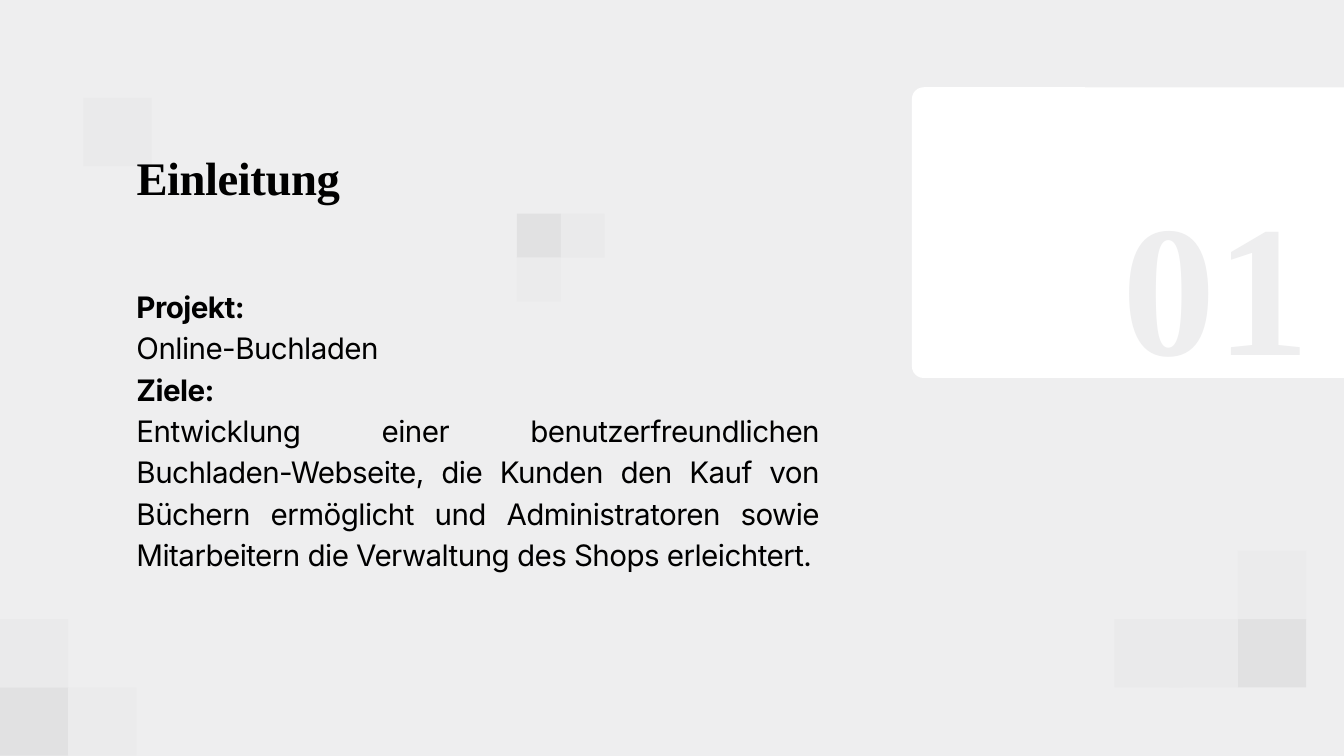
import pptx
import pptx.dml.color
import pptx.enum.shapes
import pptx.enum.text
import pptx.util

Cm = pptx.util.Cm
Pt = pptx.util.Pt
PP_ALIGN = pptx.enum.text.PP_ALIGN
MSO_SHAPE = pptx.enum.shapes.MSO_SHAPE

COLOURS = {
    "background": "EEEEEF",
    "card": "FFFFFF",
    "text": "000000",
    "dark": "E1E1E2",
    "pale": "EBEBEC",
    "medium": "EAEAEB",
}

TITLE = "Einleitung"
NUMBER = "01"
# (text, bold, alignment)
BODY = [
    ("Projekt:", True, PP_ALIGN.LEFT),
    ("Online-Buchladen", False, PP_ALIGN.LEFT),
    ("Ziele:", True, PP_ALIGN.LEFT),
    (
        "Entwicklung einer benutzerfreundlichen Buchladen-Webseite, die Kunden "
        "den Kauf von Büchern ermöglicht und Administratoren sowie Mitarbeitern "
        "die Verwaltung des Shops erleichtert.",
        False,
        PP_ALIGN.JUSTIFY,
    ),
]

LARGE, SMALL = 2.58, 1.66
# (left, top, tile size, [(column, row, colour)]), lengths in cm
TILE_CLUSTERS = [
    (46.79, 23.41, LARGE, [(0, 0, "dark"), (0, -1, "pale"), (-1, 0, "medium")]),
    (0, 25.99, LARGE, [(0, 0, "dark"), (1, 0, "pale"), (0, -1, "medium")]),
    (19.54, 8.08, SMALL, [(0, 0, "dark"), (0, 1, "pale"), (1, 0, "medium")]),
    (3.15, 3.7, LARGE, [(0, 0, "medium")]),
    (42.12, 23.41, LARGE, [(0, 0, "medium")]),
]


def colour(name):
    return pptx.dml.color.RGBColor.from_string(COLOURS[name])


def add_plain_shape(slide, kind, left, top, width, height, fill):
    shape = slide.shapes.add_shape(kind, Cm(left), Cm(top), Cm(width), Cm(height))
    shape.shadow.inherit = False
    shape.fill.solid()
    shape.fill.fore_color.rgb = colour(fill)
    shape.line.fill.background()
    return shape


def place_text(shape, left, top, width, height):
    """Position a text shape and remove its margins."""
    shape.left, shape.top = Cm(left), Cm(top)
    shape.width, shape.height = Cm(width), Cm(height)
    frame = shape.text_frame
    frame.margin_left = frame.margin_right = 0
    frame.margin_top = frame.margin_bottom = 0
    frame.word_wrap = True
    frame.auto_size = pptx.enum.text.MSO_AUTO_SIZE.NONE
    frame.vertical_anchor = pptx.enum.text.MSO_ANCHOR.TOP
    return frame


def write(paragraph, text, font, size, bold, fill="text", alignment=PP_ALIGN.LEFT,
          line_height=None, tracking=0):
    """Fill one paragraph; tracking is in hundredths of a point."""
    paragraph.text = text
    paragraph.alignment = alignment
    paragraph.space_before = Pt(0)
    if line_height:
        paragraph.line_spacing = Pt(line_height)
    for run in paragraph.runs:
        run.font.name = font
        run.font.size = Pt(size)
        run.font.bold = bold
        run.font.color.rgb = colour(fill)
        run.font._element.set("spc", str(tracking))


def main():
    presentation = pptx.Presentation()
    presentation.slide_width, presentation.slide_height = Cm(50.8), Cm(28.58)
    slide = presentation.slides.add_slide(presentation.slide_layouts[5])
    slide.background.fill.solid()
    slide.background.fill.fore_color.rgb = colour("background")

    card = add_plain_shape(
        slide, MSO_SHAPE.ROUNDED_RECTANGLE, 34.47, 3.3, 16.74, 10.99, "card")
    card.adjustments[0] = 0.04

    for left, top, size, tiles in TILE_CLUSTERS:
        for column, row, fill in tiles:
            add_plain_shape(slide, MSO_SHAPE.RECTANGLE, left + column * size,
                            top + row * size, size, size, fill)

    number_box = slide.shapes.add_textbox(0, 0, 0, 0)
    frame = place_text(number_box, 41.5, 6.4, 8, 8)
    write(frame.paragraphs[0], NUMBER, "Times New Roman", 200, True, "background",
          alignment=PP_ALIGN.RIGHT)

    title = slide.shapes.title
    slide.shapes._spTree.append(title._element)  # in front of the tiles
    frame = place_text(title, 5.16, 5.82, 14.86, 1.98)
    write(frame.paragraphs[0], TITLE, "Times New Roman", 50, True,
          line_height=55, tracking=-50)

    body_box = slide.shapes.add_textbox(0, 0, 0, 0)
    frame = place_text(body_box, 5.16, 10.69, 25.81, 14.02)
    for index, (text, bold, alignment) in enumerate(BODY):
        paragraph = frame.add_paragraph() if index else frame.paragraphs[0]
        write(paragraph, text, "Inter", 31.7, bold, alignment=alignment,
              line_height=44.4, tracking=-60)

    presentation.save("out.pptx")


if __name__ == "__main__":
    main()
